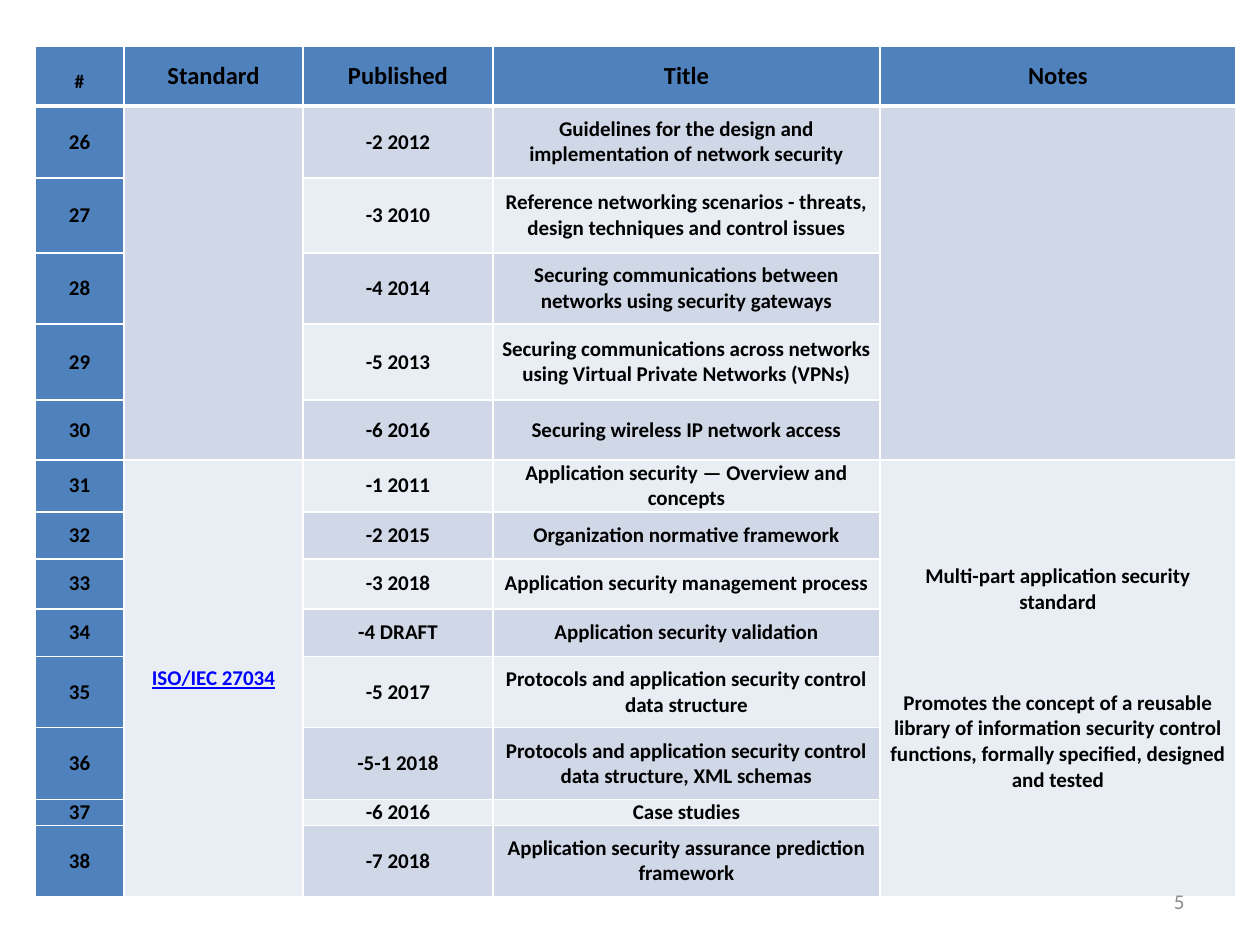
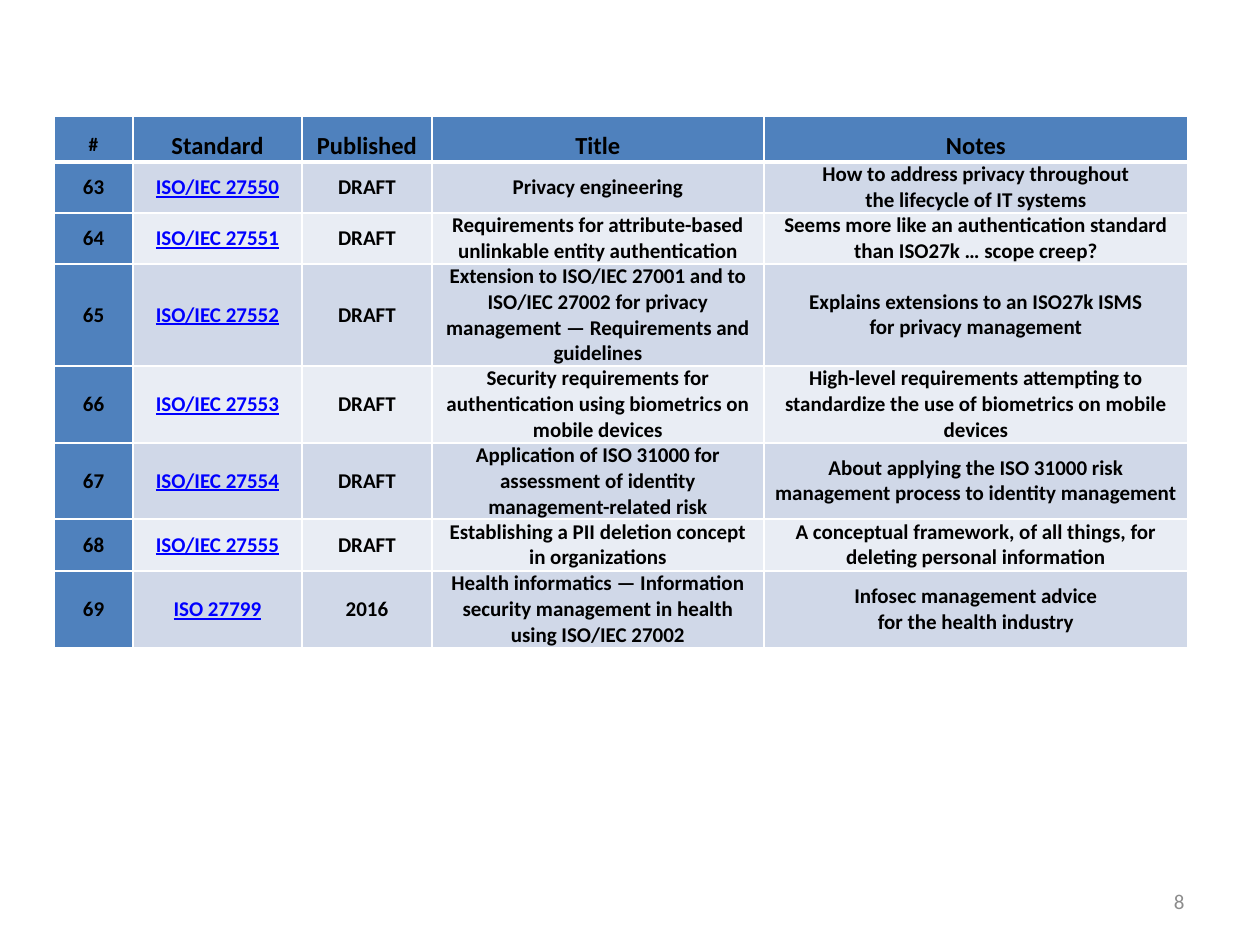
from lxml.etree import SubElement
from pptx import Presentation
from pptx.dml.color import RGBColor
from pptx.enum.text import MSO_ANCHOR, PP_ALIGN
from pptx.oxml.ns import qn
from pptx.util import Emu, Pt

# Content: one entry per slide; a span is (column, first row, last row)
HEADINGS = ["#", "Standard", "Published", "Title", "Notes"]
SLIDES = [
    dict(
        number="5", left=35, top=46,
        columns=[89, 179, 190, 387, 356],
        heights=[60, 72, 75, 71, 76, 60, 52, 47, 50, 48, 71, 72, 25, 71],
        spans=[(1, 1, 5), (4, 1, 5), (1, 6, 13), (4, 6, 13)],
        rows=[
            ("26", "", "-2 2012", "Guidelines for the design and implementation of network security", ""),
            ("27", "", "-3 2010", "Reference networking scenarios - threats, design techniques and control issues", ""),
            ("28", "", "-4 2014", "Securing communications between networks using security gateways", ""),
            ("29", "", "-5 2013", "Securing communications across networks using Virtual Private Networks (VPNs)", ""),
            ("30", "", "-6 2016", "Securing wireless IP network access", ""),
            ("31", "ISO/IEC 27034", "-1 2011", "Application security — Overview and concepts",
             "Multi-part application security standard\n"
             "Promotes the concept of a reusable library of information security control "
             "functions, formally specified, designed and tested"),
            ("32", "", "-2 2015", "Organization normative framework", ""),
            ("33", "", "-3 2018", "Application security management process", ""),
            ("34", "", "-4 DRAFT", "Application security validation", ""),
            ("35", "", "-5 2017", "Protocols and application security control data structure", ""),
            ("36", "", "-5-1 2018", "Protocols and application security control data structure, XML schemas", ""),
            ("37", "", "-6 2016", "Case studies", ""),
            ("38", "", "-7 2018", "Application security assurance prediction framework", ""),
        ]),
    dict(
        number="8", left=54, top=116,
        columns=[79, 169, 130, 332, 424],
        heights=[46, 51, 51, 102, 77, 76, 52, 77],
        spans=[],
        rows=[
            ("63", "ISO/IEC 27550", "DRAFT", "Privacy engineering",
             "How to address privacy throughout\vthe lifecycle of IT systems"),
            ("64", "ISO/IEC 27551", "DRAFT", "Requirements for attribute-based unlinkable entity authentication",
             "Seems more like an authentication standard\vthan ISO27k … scope creep?"),
            ("65", "ISO/IEC 27552", "DRAFT",
             "Extension to ISO/IEC 27001 and to ISO/IEC 27002 for privacy management — Requirements and guidelines",
             "Explains extensions to an ISO27k ISMS\vfor privacy management"),
            ("66", "ISO/IEC 27553", "DRAFT",
             "Security requirements for authentication using biometrics on mobile devices",
             "High-level requirements attempting to standardize the use of biometrics on mobile devices"),
            ("67", "ISO/IEC 27554", "DRAFT",
             "Application of ISO 31000 for assessment of identity management-related risk",
             "About applying the ISO 31000 risk management process to identity management"),
            ("68", "ISO/IEC 27555", "DRAFT", "Establishing a PII deletion concept in organizations",
             "A conceptual framework, of all things, for deleting personal information"),
            ("69", "ISO 27799", "2016",
             "Health informatics — Information security management in health using ISO/IEC 27002",
             "Infosec management advice\vfor the health industry"),
        ]),
]

# Shared look
BLUE, WHITE, BLACK, LINK, GREY = "4F81BD", "FFFFFF", "000000", "0000FF", "8C8C8C"
BANDS = ["E9EDF4", "D0D8E8"]
FONT = "Calibri"
STANDARD, TITLE = 1, 3
BODY_SPACE = dict(space_before=Pt(7.2), space_after=Pt(7.2))
TITLE_SPACE = dict(space_before=Pt(3), space_after=Pt(3))
NUMBER_HEADING = dict(line_spacing=1.5, **BODY_SPACE)
HEADING = dict(line_spacing=1.5, space_before=Pt(4))
NOTE_GAP = Pt(36)
CELL_MARGINS = dict(margin_left=9, margin_right=9, margin_top=0, margin_bottom=0)
NUMBER_BOX = (903, 876, 294, 50)


def px(pixels):
    return Emu(pixels * 914400 // 126)


def color(value):
    return RGBColor.from_string(value)


def apply(target, values):
    for name, value in values.items():
        setattr(target, name, value)


def format_spans(para, ink, **font):
    for span in para.runs:
        apply(span.font, dict(name=FONT, **font))
        span.font.color.rgb = color(ink)


def draw_borders(cell, **widths):
    properties = cell._tc.get_or_add_tcPr()
    for position, (side, points) in enumerate(widths.items()):
        line = SubElement(properties, qn(f"a:{side}"), w=str(Pt(points)))
        fill = SubElement(line, qn("a:solidFill"))
        SubElement(fill, qn("a:srgbClr"), val=WHITE)
        properties.insert(position, line)


def fill_cell(cell, text, row, column):
    header = row == 0
    cell.fill.solid()
    cell.fill.fore_color.rgb = color(BLUE if header or column == 0 else BANDS[row % 2])
    top = {"lnT": 1} if header else {}
    draw_borders(cell, lnL=1, lnR=1, **top, lnB=3 if header else 1)
    apply(cell, {name: px(value) for name, value in CELL_MARGINS.items()})
    cell.vertical_anchor = MSO_ANCHOR.TOP if header and column else MSO_ANCHOR.MIDDLE
    if header:
        layout, size = (HEADING, 14) if column else (NUMBER_HEADING, 11)
    else:
        layout, size = (TITLE_SPACE if column == TITLE else BODY_SPACE), 12
    link = column == STANDARD and not header
    cell.text = text
    for index, para in enumerate(cell.text_frame.paragraphs):
        apply(para, dict(alignment=PP_ALIGN.CENTER, **layout))
        if index:
            para.space_before = NOTE_GAP
        format_spans(para, LINK if link else BLACK, size=Pt(size), bold=True, underline=link)


def add_standards_table(page, data):
    rows = [HEADINGS] + data["rows"]
    frame = page.shapes.add_table(
        len(rows), len(HEADINGS), px(data["left"]), px(data["top"]),
        px(sum(data["columns"])), px(sum(data["heights"])))
    table = frame.table
    for column, width in zip(table.columns, data["columns"]):
        column.width = px(width)
    for row, height in zip(table.rows, data["heights"]):
        row.height = px(height)
    for row, texts in enumerate(rows):
        for column, text in enumerate(texts):
            fill_cell(table.cell(row, column), text, row, column)
    for column, first, last in data["spans"]:
        table.cell(first, column).merge(table.cell(last, column))


def add_page_number(page, number):
    box = page.shapes.add_textbox(*map(px, NUMBER_BOX))
    apply(box.text_frame, dict(word_wrap=True, vertical_anchor=MSO_ANCHOR.MIDDLE, text=number))
    para = box.text_frame.paragraphs[0]
    para.alignment = PP_ALIGN.RIGHT
    format_spans(para, GREY, size=Pt(12))


# Build the deck
deck = Presentation()
deck.slide_width, deck.slide_height = px(1260), px(945)
blank_layout = deck.slide_layouts[6]
for data in SLIDES:
    page = deck.slides.add_slide(blank_layout)
    add_standards_table(page, data)
    add_page_number(page, data["number"])
deck.save("out.pptx")
